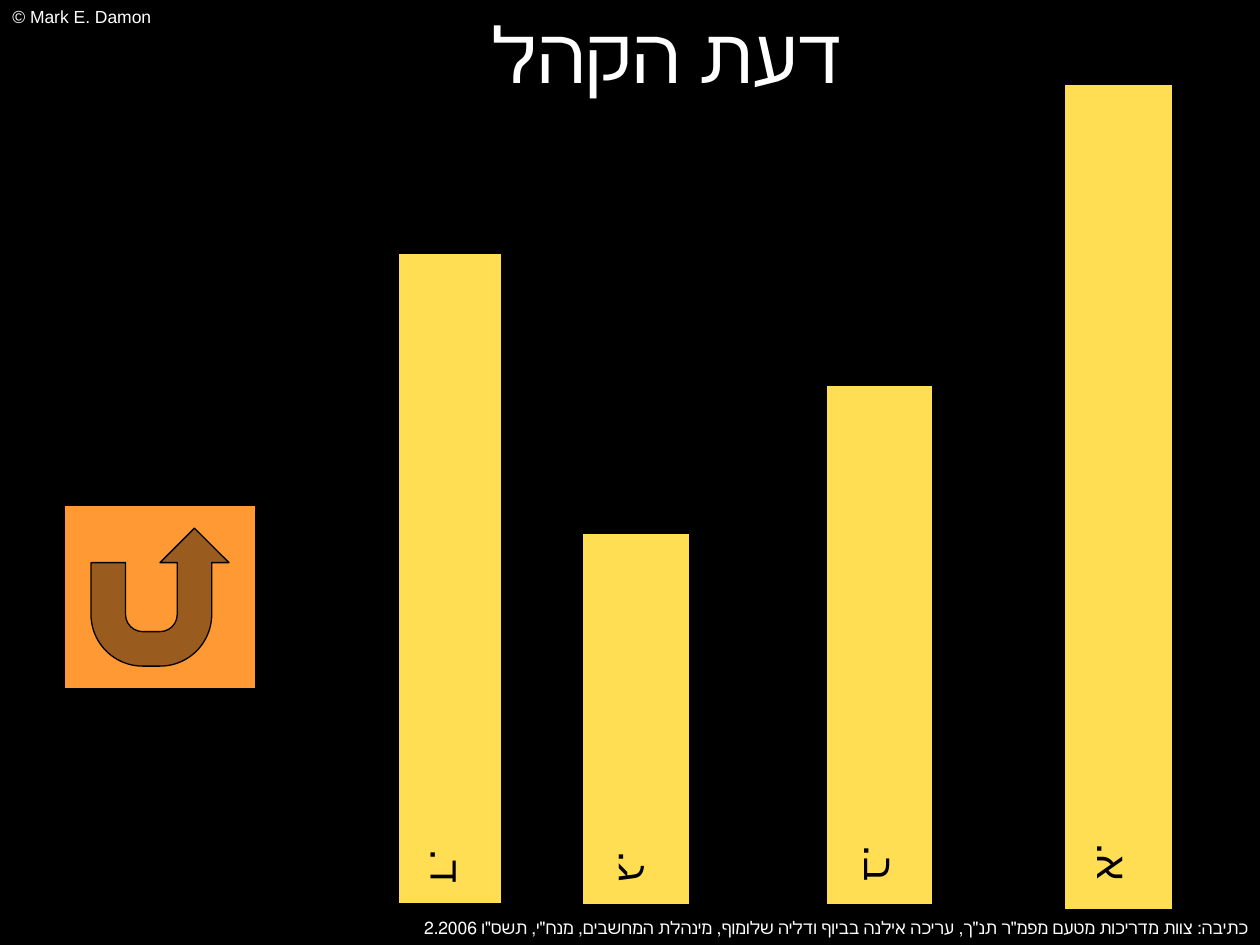
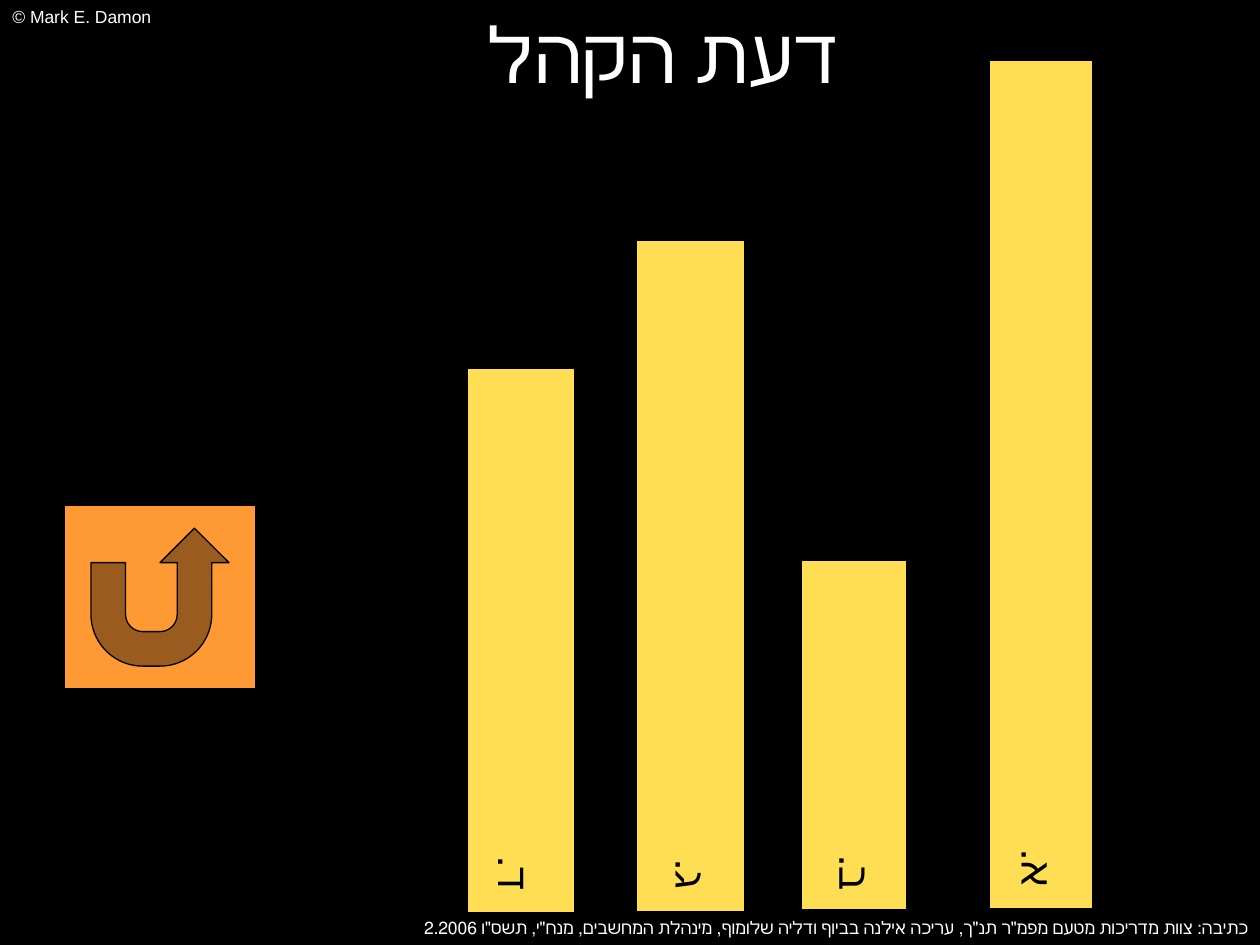
from pptx import Presentation
from pptx.dml.color import RGBColor
from pptx.enum.shapes import MSO_SHAPE
from pptx.enum.text import MSO_ANCHOR, PP_ALIGN
from pptx.util import Inches, Pt

BLACK = RGBColor(0x00, 0x00, 0x00)
WHITE = RGBColor(0xFF, 0xFF, 0xFF)
YELLOW = RGBColor(0xFF, 0xDE, 0x53)
ORANGE = RGBColor(0xFF, 0x99, 0x33)
SANS, SERIF = "Arial", "Times New Roman"

# Content: title, credits, then the title's left edge and bars of each poll
TITLE = "דעת הקהל"
RIGHTS = "© Mark E. Damon"
CREDIT = ('כתיבה: צוות מדריכות מטעם מפמ"ר תנ"ך, עריכה אילנה בביוף ודליה שלומוף, '
          'מינהלת המחשבים, מנח"י, תשס"ו 2.2006')

# Each bar: letter, bar box, then left, top and width of its turned label
POLLS = [
    (0.8, [
        ("ד.", (3.16, 2.01, 0.82, 5.16), (1.55, 4.87, 4.0)),
        ("ג.", (4.62, 4.23, 0.85, 2.95), (3.66, 5.46, 2.77)),
        ("ב.", (6.56, 3.06, 0.84, 4.12), (4.9, 4.75, 4.18)),
        ("א.", (8.45, 0.67, 0.86, 6.55), (7.28, 5.28, 3.12)),
    ]),
    (0.77, [
        ("א.", (7.85, 0.48, 0.82, 6.73), (5.63, 4.28, 5.22)),
        ("ג.", (5.05, 1.91, 0.86, 5.33), (3.87, 5.28, 3.25)),
        ("ב.", (6.36, 4.45, 0.84, 2.77), (5.39, 5.51, 2.81)),
        ("ד.", (3.71, 2.92, 0.85, 4.32), (2.68, 5.52, 2.81)),
    ]),
]


def add_box(shapes, kind, box, fill):
    """A filled shape with a thin black outline."""
    shape = shapes.add_shape(kind, *map(Inches, box))
    shape.shadow.inherit = False
    shape.fill.solid()
    shape.fill.fore_color.rgb = fill
    shape.line.color.rgb = BLACK
    shape.line.width = Pt(0.75)


def add_text(shapes, text, box, size, font, color, align, rtl=False):
    """One line of text."""
    label = shapes.add_textbox(*map(Inches, box))
    frame = label.text_frame
    frame.word_wrap = True
    frame.vertical_anchor = MSO_ANCHOR.TOP
    para = frame.paragraphs[0]
    para.alignment = align
    if rtl:
        para._p.get_or_add_pPr().set("rtl", "1")
    run = para.add_run()
    run.text = text
    run.font.size = Pt(size)
    run.font.name = font
    run.font.color.rgb = color
    return label


def add_bar(slide, letter, bar, label):
    """A bar grouped with its turned letter."""
    group = slide.shapes.add_group_shape()
    add_box(group.shapes, MSO_SHAPE.RECTANGLE, bar, YELLOW)
    text = add_text(group.shapes, letter, (*label, 0.5), 24, SANS, BLACK,
                    PP_ALIGN.RIGHT, rtl=True)
    text.rotation = 90


def add_poll(deck, left, bars):
    slide = deck.slides.add_slide(deck.slide_layouts[6])
    shapes = slide.shapes
    # Shared backdrop, credit lines and title
    add_box(shapes, MSO_SHAPE.RECTANGLE, (0, 0, 10, 7.5), BLACK)
    add_text(shapes, RIGHTS, (0, 0, 5.13, 0.27), 10, SANS, WHITE,
             PP_ALIGN.LEFT)
    add_text(shapes, CREDIT, (1.47, 7.23, 8.53, 0.27), 10, SERIF, WHITE,
             PP_ALIGN.RIGHT, rtl=True)
    add_text(shapes, TITLE, (left, 0, 9, 1.25), 44, SERIF, WHITE,
             PP_ALIGN.CENTER)
    # Return button and bars
    add_box(shapes, MSO_SHAPE.ACTION_BUTTON_RETURN, (0.51, 4.01, 1.52, 1.46),
            ORANGE)
    for bar in bars:
        add_bar(slide, *bar)


def main():
    deck = Presentation()
    deck.slide_width, deck.slide_height = Inches(10), Inches(7.5)
    for left, bars in POLLS:
        add_poll(deck, left, bars)
    deck.save("out.pptx")


if __name__ == "__main__":
    main()
